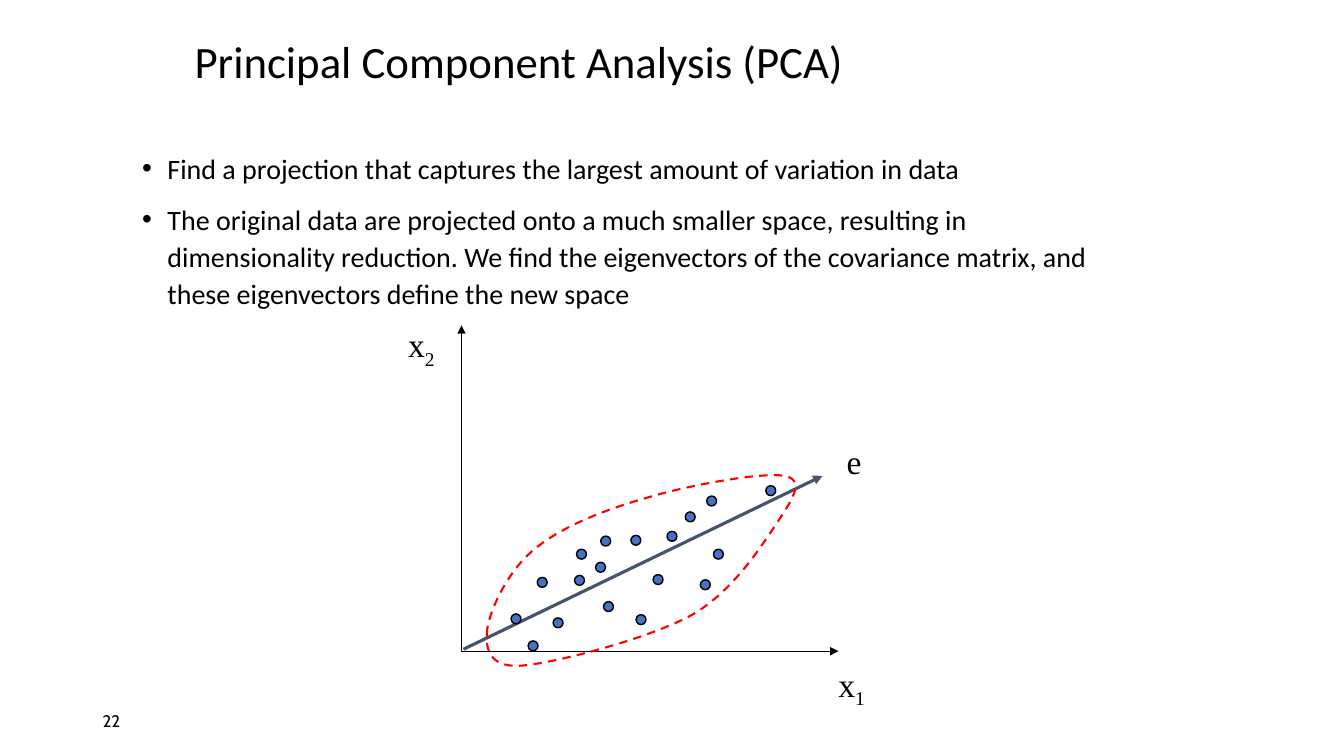
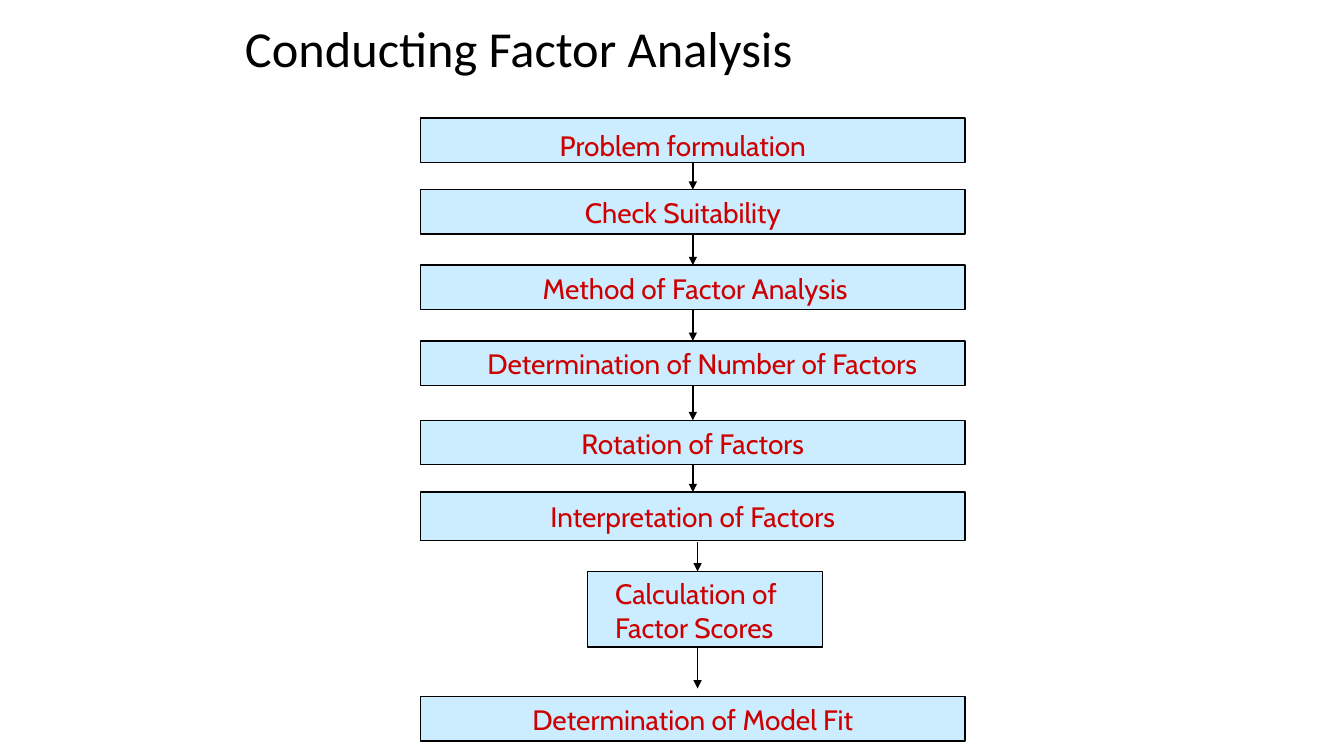
from lxml import etree
from pptx import Presentation
from pptx import util as u
from pptx.dml.color import RGBColor
from pptx.enum import dml, shapes, text
from pptx.oxml import ns

BLACK = RGBColor(0x00, 0x00, 0x00)
DOT_BLUE = RGBColor(0x44, 0x72, 0xC4)
SLATE = RGBColor(0x44, 0x54, 0x6A)
OUTLINE_RED = RGBColor(0xFF, 0x00, 0x00)
STEP_FILL = RGBColor(0xCC, 0xEC, 0xFF)
STEP_TEXT = RGBColor(0xCC, 0x00, 0x00)
TITLE_ONLY = 5

presentation = Presentation()
presentation.slide_width = u.Cm(33.87)
presentation.slide_height = u.Cm(19.05)


def add_titled_slide(title, box, size):
    slide = presentation.slides.add_slide(presentation.slide_layouts[TITLE_ONLY])
    shape = slide.shapes.title
    shape.left, shape.top, shape.width, shape.height = [u.Cm(v) for v in box]
    frame = shape.text_frame
    frame.text = title
    frame.vertical_anchor = text.MSO_ANCHOR.MIDDLE
    paragraph = frame.paragraphs[0]
    paragraph.alignment = text.PP_ALIGN.LEFT
    paragraph.line_spacing = 0.9
    font = paragraph.runs[0].font
    font.name, font.size, font.color.rgb = "Calibri", u.Pt(size), BLACK
    return slide


def add_arrow(slide, start, end, color=BLACK, width=1):
    connector = slide.shapes.add_connector(
        shapes.MSO_CONNECTOR.STRAIGHT, *[u.Cm(v) for v in (*start, *end)])
    connector.line.color.rgb = color
    connector.line.width = u.Pt(width)
    properties = connector._element.spPr
    line = properties.find(ns.qn("a:ln"))
    etree.SubElement(line, ns.qn("a:tailEnd"), type="triangle")
    etree.SubElement(properties, ns.qn("a:effectLst"))
    return connector


# Slide 1: principal component analysis
slide = add_titled_slide("Principal Component Analysis (PCA)", (4.65, 0.43, 24.33, 2.34), 32)

# Bullets
bullets = [
    "Find a projection that captures the largest amount of variation in data",
    "The original data are projected onto a much smaller space, resulting in "
    "dimensionality reduction. We find the eigenvectors of the covariance matrix, "
    "and these eigenvectors define the new space",
]
body = slide.shapes.add_textbox(u.Cm(3.33), u.Cm(3.61), u.Cm(25.02), u.Cm(4.45))
frame = body.text_frame
frame.word_wrap = True
for index, bullet in enumerate(bullets):
    paragraph = frame.paragraphs[0] if index == 0 else frame.add_paragraph()
    paragraph.text = bullet
    paragraph.line_spacing = 1.1
    if index:
        paragraph.space_before = u.Pt(10)
    properties = paragraph._p.get_or_add_pPr()
    properties.set("marL", str(u.Cm(0.64)))
    properties.set("indent", str(u.Cm(-0.64)))
    etree.SubElement(properties, ns.qn("a:buFont"), typeface="Arial")
    etree.SubElement(properties, ns.qn("a:buChar"), char="•")
    font = paragraph.runs[0].font
    font.name, font.size, font.color.rgb = "Calibri", u.Pt(20), BLACK

# Axes and first eigenvector
origin = (11.63, 16.41)
add_arrow(slide, origin, (11.63, 8.2))
add_arrow(slide, origin, (21.13, 16.41))
add_arrow(slide, (11.68, 16.36), (20.73, 11.99), SLATE, 2.25)

# Data points, by top left corner
points = [
    (13.54, 14.55), (14.53, 13.84), (12.88, 15.47), (15.01, 14.17), (14.48, 14.5),
    (16.46, 14.48), (16.03, 15.49), (15.21, 15.16), (15.9, 13.49), (17.98, 13.84),
    (19.3, 12.24), (13.94, 15.57), (16.81, 13.39), (17.81, 12.5), (15.14, 13.51),
    (17.27, 12.9), (17.65, 14.61), (13.31, 16.15),
]
for left, top in points:
    dot = slide.shapes.add_shape(
        shapes.MSO_SHAPE.OVAL, u.Cm(left), u.Cm(top), u.Cm(0.25), u.Cm(0.25))
    dot.shadow.inherit = False
    dot.fill.solid()
    dot.fill.fore_color.rgb = DOT_BLUE
    dot.line.color.rgb = BLACK
    dot.line.width = u.Pt(1)

# Dashed outline around the data, sampled from cubic curves
curve_start = (12.27, 15.98)
curves = [
    ((12.27, 15.52), (12.75, 14.45), (13.41, 13.89)),
    ((14.07, 13.31), (15.14, 12.88), (16.21, 12.57)),
    ((17.27, 12.24), (19.18, 11.89), (19.76, 11.99)),
    ((20.32, 12.09), (19.96, 12.6), (19.58, 13.18)),
    ((19.18, 13.77), (18.49, 14.88), (17.45, 15.49)),
    ((16.38, 16.08), (14.15, 16.66), (13.28, 16.76)),
    ((12.42, 16.87), (12.24, 16.46), curve_start),
]
samples = 16
vertices = []
corner = curve_start
for control_1, control_2, end in curves:
    for step in range(1, samples + 1):
        t = step / samples
        weights = ((1 - t) ** 3, 3 * t * (1 - t) ** 2, 3 * t ** 2 * (1 - t), t ** 3)
        vertices.append(tuple(
            u.Cm(sum(w * v for w, v in zip(weights, values)))
            for values in zip(corner, control_1, control_2, end)))
    corner = end
builder = slide.shapes.build_freeform(*[u.Cm(v) for v in curve_start])
builder.add_line_segments(vertices, close=True)
outline = builder.convert_to_shape()
outline.shadow.inherit = False
outline.fill.background()
outline.line.color.rgb = OUTLINE_RED
outline.line.width = u.Pt(1.5)
outline.line.dash_style = dml.MSO_LINE.DASH

# Axis labels: letter, subscript, left, top, width
labels = [
    ("x", "2", 10.01, 8.1, 1.22),
    ("x", "1", 20.85, 16.66, 1.22),
    ("e", "", 21.08, 10.97, 0.89),
]
for letter, subscript, left, top, width in labels:
    label = slide.shapes.add_textbox(u.Cm(left), u.Cm(top), u.Cm(width), u.Cm(1.3))
    frame = label.text_frame
    frame.word_wrap = False
    frame.vertical_anchor = text.MSO_ANCHOR.MIDDLE
    paragraph = frame.paragraphs[0]
    paragraph.text = letter
    paragraph.alignment = text.PP_ALIGN.CENTER
    if subscript:
        run = paragraph.add_run()
        run.text = subscript
        run._r.get_or_add_rPr().set("baseline", "-25000")
    for run in paragraph.runs:
        run.font.name, run.font.size = "Times New Roman", u.Pt(24)
        run.font.color.rgb = BLACK

# Slide number
number = slide.shapes.add_textbox(u.Cm(2.34), u.Cm(17.65), u.Cm(7.62), u.Cm(1.02))
frame = number.text_frame
frame.text = "22"
frame.word_wrap = True
frame.vertical_anchor = text.MSO_ANCHOR.MIDDLE
font = frame.paragraphs[0].runs[0].font
font.name, font.size, font.color.rgb = "Cabin", u.Pt(12), BLACK

# Slide 2: factor analysis steps
slide = add_titled_slide("Conducting Factor Analysis", (5.92, 0.43, 21.64, 1.7), 36)

# Wide steps: text, top, height, text shift to the right, top margin
wide_left, wide_width = 10.6, 13.72
wide_steps = [
    ("Problem formulation", 2.97, 1.12, -0.25, 0.28),
    ("Check Suitability", 4.78, 1.12, -0.25, 0.15),
    ("Method of Factor Analysis", 6.68, 1.12, 0.06, 0.15),
    ("Determination of Number of Factors", 8.59, 1.12, 0.24, 0.15),
    ("Rotation of Factors", 10.59, 1.12, 0, 0.15),
    ("Interpretation of Factors", 12.4, 1.22, 0, 0.19),
    ("Determination of Model Fit", 17.55, 1.12, 0, 0.15),
]
steps = [
    (words, wide_left, top, wide_width, height, text.PP_ALIGN.CENTER,
     max(0, 2 * shift), max(0, -2 * shift), margin_top)
    for words, top, height, shift, margin_top in wide_steps
]
steps.insert(6, ("Calculation of\nFactor Scores", 14.81, 14.4, 5.92, 1.91,
                 text.PP_ALIGN.LEFT, 0.69, 0, 0.13))

boxes = []
for words, left, top, width, height, alignment, margin_left, margin_right, margin_top in steps:
    box = slide.shapes.add_shape(
        shapes.MSO_SHAPE.RECTANGLE, u.Cm(left), u.Cm(top), u.Cm(width), u.Cm(height))
    box.shadow.inherit = False
    box.fill.solid()
    box.fill.fore_color.rgb = STEP_FILL
    box.line.color.rgb = BLACK
    box.line.width = u.Pt(1)
    frame = box.text_frame
    frame.text = words
    frame.word_wrap = True
    frame.vertical_anchor = text.MSO_ANCHOR.TOP
    frame.margin_left, frame.margin_right = u.Cm(margin_left), u.Cm(margin_right)
    frame.margin_top, frame.margin_bottom = u.Cm(margin_top), 0
    for paragraph in frame.paragraphs:
        paragraph.alignment = alignment
        font = paragraph.runs[0].font
        font.name, font.size, font.color.rgb = "Cabin", u.Pt(20), STEP_TEXT
    boxes.append(box)

# Arrows joining the wide steps
for upper, lower in zip(boxes[:5], boxes[1:6]):
    arrow = add_arrow(slide, (0, 0), (0, 0))
    arrow.begin_connect(upper, 2)
    arrow.end_connect(lower, 0)

# Arrows into and out of the narrow step, left of its middle
for start, end in [(13.67, 14.4), (16.31, 17.35)]:
    add_arrow(slide, (17.58, start), (17.58, end))

presentation.save("out.pptx")
